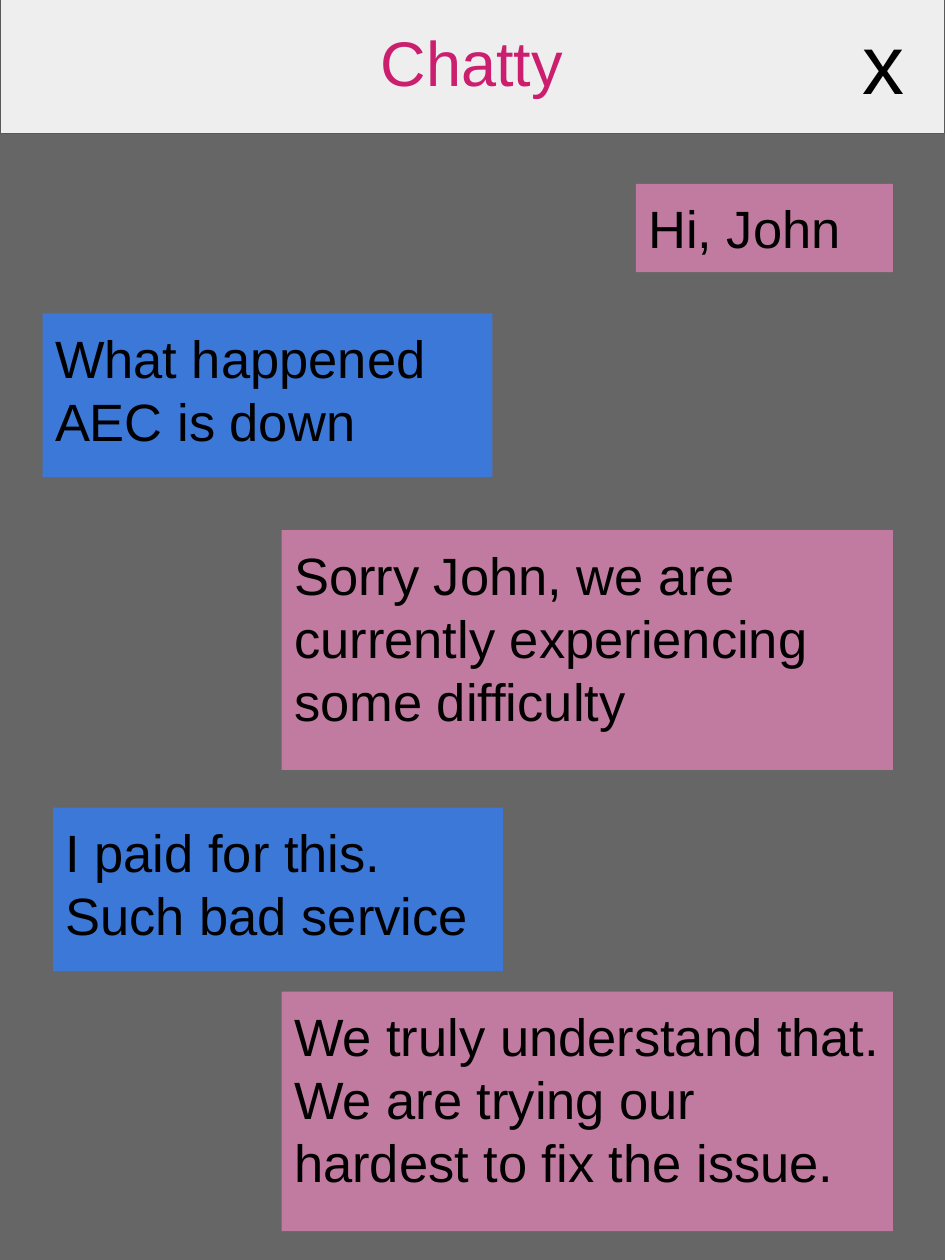
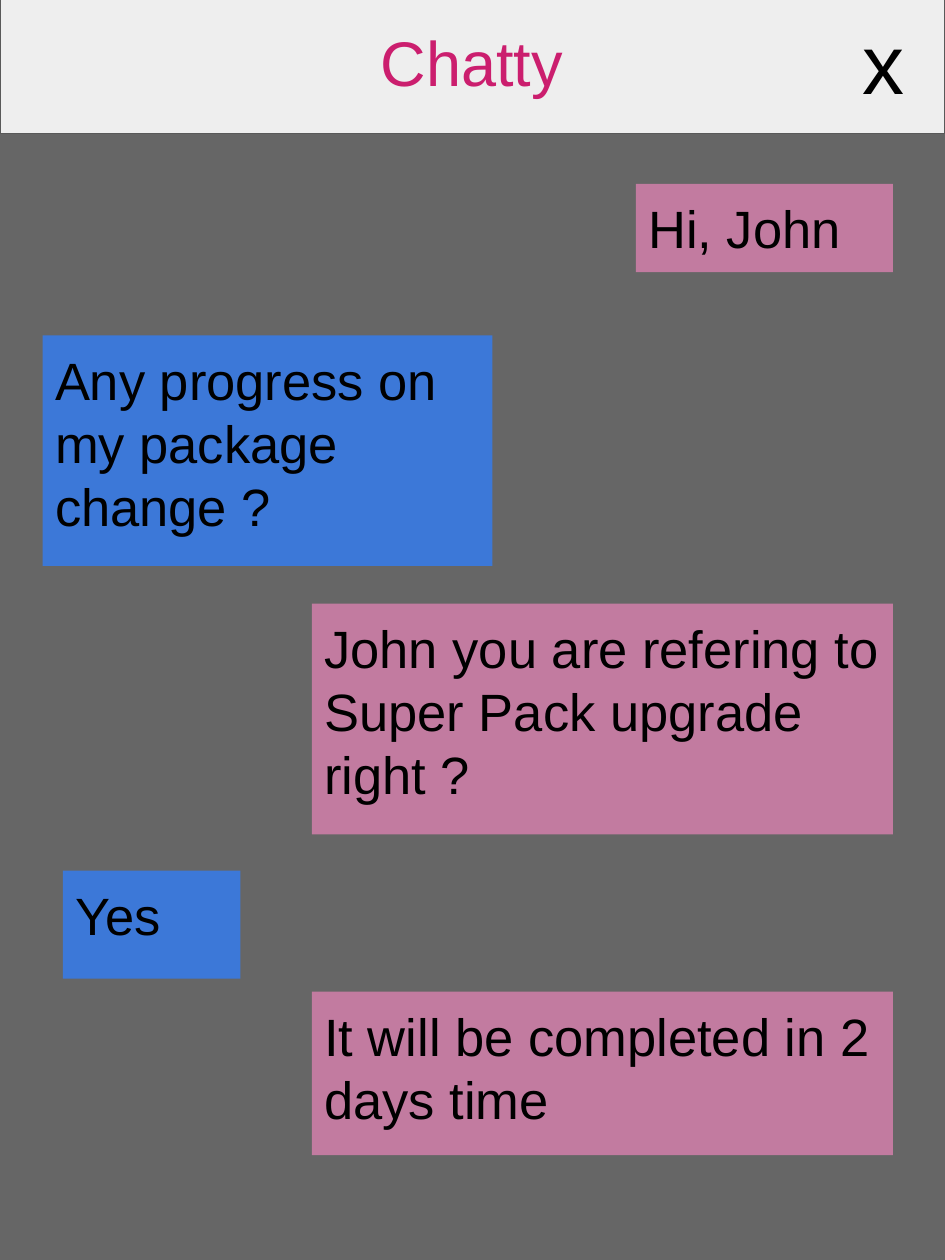
from pptx import Presentation
from pptx.dml.color import RGBColor
from pptx.enum import shapes, text
from pptx.util import Cm, Pt

COLORS = {
    "background": "666666",
    "header": "EEEEEE",
    "header_line": "595959",
    "title": "CB1E6E",
    "text": "000000",
    "agent": "C27BA0",
    "customer": "3C78D8",
}
FONT = "Arial"
AGENT_RIGHT = 18

OUTAGE_CHAT = [
    ("agent", "Hi, John", 3.71, 5.18, 1.78),
    ("customer", "What happened AEC is down", 6.32, 9.07, 3.3, 0.86),
    ("agent", "Sorry John, we are currently experiencing some difficulty", 10.69, 12.32, 4.83),
    ("customer", "I paid for this. Such bad service", 16.28, 9.07, 3.3, 1.07),
    ("agent", "We truly understand that. We are trying our hardest to fix the issue.", 19.99, 12.32, 4.83),
]
UPGRADE_CHAT = [
    OUTAGE_CHAT[0],
    ("customer", "Any progress on my package change ?", 6.76, 9.07, 4.65, 0.86),
    ("agent", "John you are refering to Super Pack upgrade right ?", 12.17, 11.71, 4.65),
    ("customer", "Yes", 17.55, 3.58, 2.18, 1.27),
    ("agent", "It will be completed in 2 days time", 19.99, 11.71, 3.3),
]


def color(name):
    return RGBColor.from_string(COLORS[name])


def write(shape, words, size, color_name="text", align=text.PP_ALIGN.LEFT):
    frame = shape.text_frame
    frame.text = words
    frame.word_wrap = True
    frame.auto_size = text.MSO_AUTO_SIZE.NONE
    frame.vertical_anchor = text.MSO_ANCHOR.TOP
    frame.margin_left = frame.margin_top = Cm(0.25)
    frame.margin_right = frame.margin_bottom = Cm(0.25)
    paragraph = frame.paragraphs[0]
    paragraph.alignment = align
    font = paragraph.runs[0].font
    font.name = FONT
    font.size = Pt(size)
    font.color.rgb = color(color_name)


def add_rectangle(slide, left, top, width, height, fill):
    shape = slide.shapes.add_shape(
        shapes.MSO_SHAPE.RECTANGLE, Cm(left), Cm(top), Cm(width), Cm(height))
    shape.shadow.inherit = False
    shape.fill.solid()
    shape.fill.fore_color.rgb = color(fill)
    shape.line.fill.background()
    return shape


def add_header(slide):
    band = add_rectangle(slide, 0, -0.03, 19.05, 2.72, "header")
    band.line.color.rgb = color("header_line")
    band.line.width = Pt(0.75)

    close = slide.shapes.add_textbox(Cm(16.94), Cm(-0.03), Cm(1.73), Cm(1.78))
    write(close, "x", 48, align=text.PP_ALIGN.CENTER)

    title = slide.shapes.title
    title.left, title.top = Cm(3.66), Cm(0.23)
    title.width, title.height = Cm(11.71), Cm(1.78)
    write(title, "Chatty", 36, "title", text.PP_ALIGN.CENTER)
    close.element.addnext(title.element)


def add_message(slide, sender, words, top, width, height, left=None):
    if left is None:
        left = AGENT_RIGHT - width
    bubble = add_rectangle(slide, left, top, width, height, sender)
    write(bubble, words, 30)


def add_chat(presentation, messages):
    slide = presentation.slides.add_slide(
        presentation.slide_layouts.get_by_name("Title Only"))
    slide.background.fill.solid()
    slide.background.fill.fore_color.rgb = color("background")
    add_header(slide)
    for message in messages:
        add_message(slide, *message)


def main():
    presentation = Presentation()
    presentation.slide_width = Cm(19.05)
    presentation.slide_height = Cm(25.4)
    for messages in (OUTAGE_CHAT, UPGRADE_CHAT):
        add_chat(presentation, messages)
    presentation.save("out.pptx")


if __name__ == "__main__":
    main()
